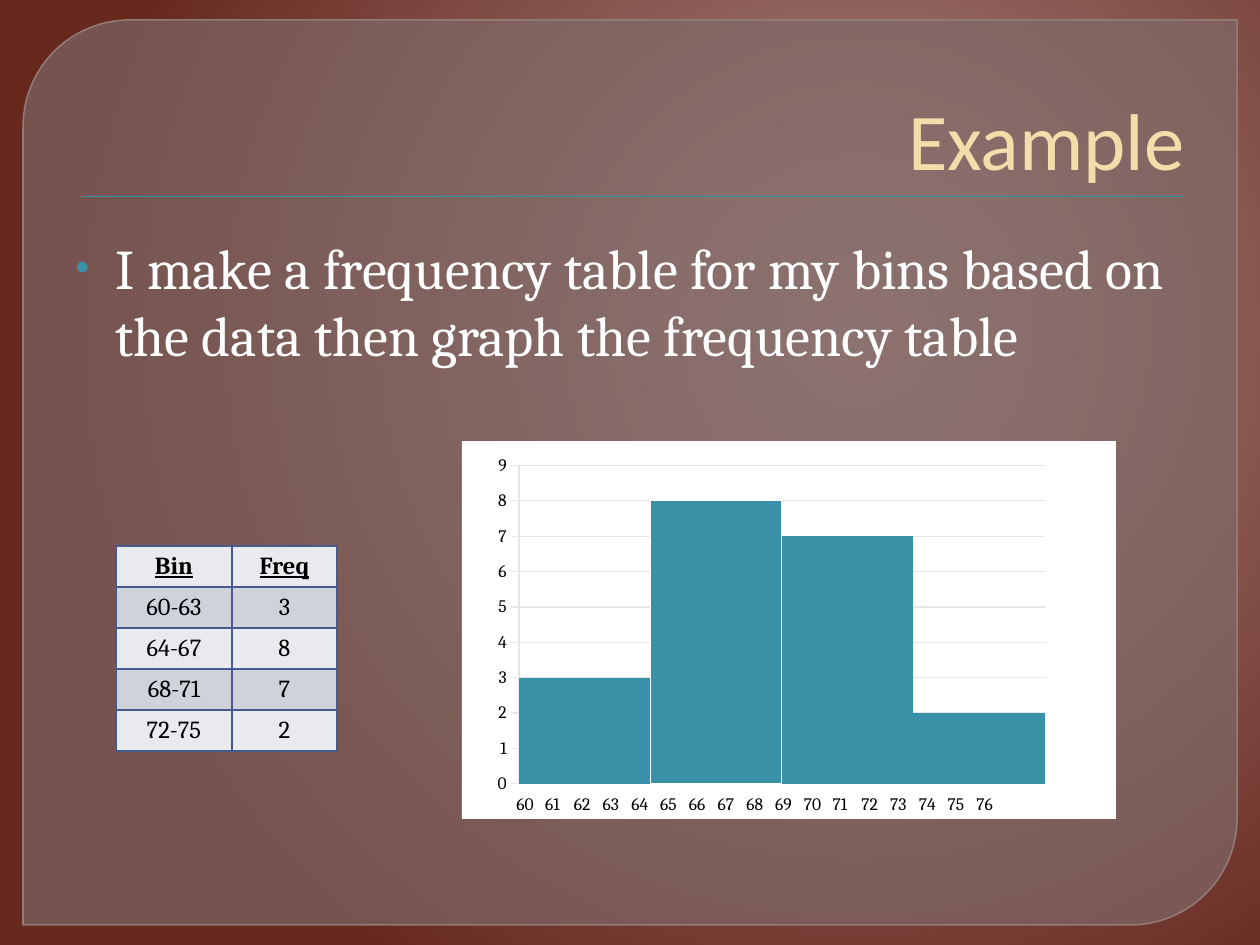
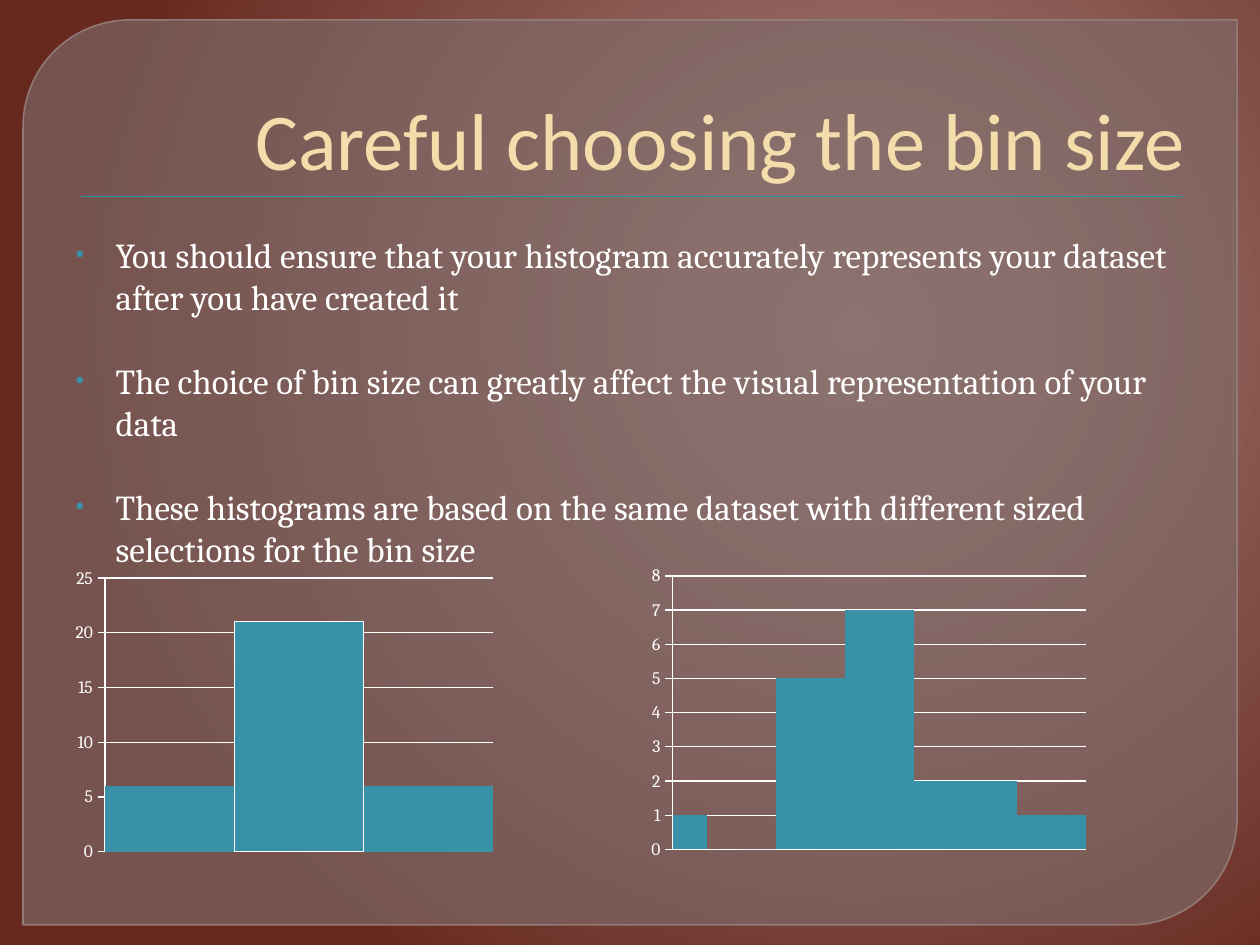
from pptx import Presentation
from pptx.chart.data import CategoryChartData
from pptx.dml.color import RGBColor
from pptx.enum.chart import XL_CHART_TYPE, XL_TICK_MARK
from pptx.enum.shapes import MSO_SHAPE
from pptx.enum.text import MSO_ANCHOR, MSO_AUTO_SIZE, PP_ALIGN
from pptx.oxml import parse_xml
from pptx.oxml.ns import nsdecls, qn
from pptx.util import Emu, Pt

EMU_PER_PX = 914400 / 126
COLORS = {
    "teal": "3891A7", "cream": "F2DDAB", "white": "FFFFFF", "black": "000000",
    "panel": "7F6B69", "panel_edge": "968381", "pale_grid": "E6E6E6",
    "row_light": "E9EAEE", "row_dark": "CFD2DB", "table_edge": "475A8D",
}
BACKDROP = {0: "A7827D", 20: "9C7570", 100: "67281E"}
HEADING_FONT = "Calibri"
TEXT_FONT = "Cambria"


def px(length):
    return Emu(round(length * EMU_PER_PX))


def rgb(name):
    return RGBColor.from_string(COLORS[name])


def apply(target, **values):
    for attribute, value in values.items():
        setattr(target, attribute, value)


def place(shape, left, top, width, height):
    apply(shape, left=px(left), top=px(top), width=px(width), height=px(height))


def style_font(font, size, color, name=TEXT_FONT, **extra):
    apply(font, size=Pt(size), name=name, **extra)
    font.color.rgb = rgb(color)


def set_alpha(fill_owner, percent):
    color = fill_owner.find(".//" + qn("a:srgbClr"))
    color.append(parse_xml(f'<a:alpha {nsdecls("a")} val="{percent * 1000}"/>'))


# Shared look
def paint_backdrop(master):
    master.background.fill.gradient()
    stops = "".join(
        f'<a:gs pos="{position * 1000}"><a:srgbClr val="{color}"/></a:gs>'
        for position, color in BACKDROP.items())
    gradient = parse_xml(
        f'<a:gradFill {nsdecls("a")} rotWithShape="1"><a:gsLst>{stops}</a:gsLst>'
        '<a:path path="circle"><a:fillToRect l="68000" t="35000" r="32000" b="65000"/>'
        '</a:path></a:gradFill>')
    background = master.element.find(".//" + qn("p:bgPr"))
    background.replace(background.find(qn("a:gradFill")), gradient)


def add_filled_shape(slide, kind, box, color):
    shape = slide.shapes.add_shape(kind, *map(px, box))
    shape.shadow.inherit = False
    shape.fill.solid()
    shape.fill.fore_color.rgb = rgb(color)
    shape.line.fill.background()
    return shape


def build_frame(slide, layout):
    """Draw the panel and title rule, then hand them to the shared layout."""
    panel = add_filled_shape(slide, MSO_SHAPE.ROUND_2_DIAG_RECTANGLE,
                             (23, 20, 1214, 905), "panel")
    panel.adjustments[0], panel.adjustments[1] = 0.118, 0
    set_alpha(panel.element.spPr.find(qn("a:solidFill")), 65)
    panel.line.color.rgb = rgb("panel_edge")
    panel.line.width = Pt(0.87)
    set_alpha(panel.element.spPr.find(qn("a:ln")), 88)
    rule = add_filled_shape(slide, MSO_SHAPE.RECTANGLE, (81, 196, 1102, 1), "teal")
    for position, part in enumerate((panel, rule), start=2):
        layout.shapes.element.insert(position, part.element)


# Text
def set_title(slide, text):
    title = slide.shapes.title
    place(title, 63, 35, 1134, 158)
    apply(title.text_frame, text=text, vertical_anchor=MSO_ANCHOR.BOTTOM,
          auto_size=MSO_AUTO_SIZE.NONE)
    paragraph = title.text_frame.paragraphs[0]
    paragraph.alignment = PP_ALIGN.RIGHT
    style_font(paragraph.font, 46, "cream", HEADING_FONT)


def add_bullet(paragraph, color):
    properties = paragraph._p.get_or_add_pPr()
    indent = px(40)
    properties.set("marL", str(indent))
    properties.set("indent", str(-indent))
    for tag in (f'buClr {{}}><a:srgbClr val="{COLORS[color]}"/></a:buClr>',
                'buSzPct {} val="70000"/>',
                'buFont {} typeface="Arial"/>',
                'buChar {} char="•"/>'):
        properties.append(parse_xml("<a:" + tag.format(nsdecls("a"))))


def set_points(slide, points, size):
    body = slide.placeholders[1]
    place(body, 63, 227, 1134, 624)
    frame = body.text_frame
    apply(frame, text="\n".join(points), auto_size=MSO_AUTO_SIZE.NONE)
    for index, paragraph in enumerate(frame.paragraphs):
        add_bullet(paragraph, "teal")
        paragraph.space_before = Pt(24 if index else 0)
        style_font(paragraph.font, size, "white")


def add_scale(slide, numbers, left, top, width, height, span):
    """One line of evenly tabbed numbers, the last starting span px in."""
    scale = slide.shapes.add_textbox(*map(px, (left, top, width, height)))
    frame = scale.text_frame
    frame.word_wrap = True
    paragraph = frame.paragraphs[0]
    paragraph.text = "\t".join(map(str, numbers))
    gaps = len(numbers) - 1
    stops = "".join(f'<a:tab pos="{px(span * gap / gaps)}" algn="l"/>'
                    for gap in range(1, gaps + 1))
    paragraph._p.get_or_add_pPr().append(
        parse_xml(f'<a:tabLst {nsdecls("a")}>{stops}</a:tabLst>'))
    style_font(paragraph.font, 10, "black")


# Frequency table
def add_borders(cell):
    properties = cell._tc.get_or_add_tcPr()
    for side in "LRTB":
        properties.append(parse_xml(
            f'<a:ln{side} {nsdecls("a")} w="12700"><a:solidFill>'
            f'<a:srgbClr val="{COLORS["table_edge"]}"/></a:solidFill></a:ln{side}>'))


def add_frequency_table(slide, rows, left, top, column_widths, row_height):
    table = slide.shapes.add_table(
        len(rows), len(column_widths), px(left), px(top),
        px(sum(column_widths)), px(row_height * len(rows))).table
    for column, width in zip(table.columns, column_widths):
        column.width = px(width)
    for row_index, row in enumerate(rows):
        table.rows[row_index].height = px(row_height)
        heading = row_index == 0
        for column_index, text in enumerate(row):
            cell = table.cell(row_index, column_index)
            apply(cell, text=text, margin_top=px(2), margin_bottom=px(2),
                  vertical_anchor=MSO_ANCHOR.MIDDLE)
            add_borders(cell)
            cell.fill.solid()
            cell.fill.fore_color.rgb = rgb("row_dark" if row_index % 2 else "row_light")
            paragraph = cell.text_frame.paragraphs[0]
            paragraph.alignment = PP_ALIGN.CENTER
            style_font(paragraph.font, 14, "black", bold=heading, underline=heading)


# Histograms
def chart_fill(color=None):
    fill = (f'<a:solidFill><a:srgbClr val="{COLORS[color]}"/></a:solidFill>'
            if color else "<a:noFill/>")
    return parse_xml(f'<c:spPr {nsdecls("c", "a")}>{fill}<a:ln><a:noFill/></a:ln></c:spPr>')


def set_plot_layout(chart, plot_box):
    plot_area = chart._chartSpace.chart.plotArea
    for layout in plot_area.findall(qn("c:layout")):
        plot_area.remove(layout)
    sizes = "".join(f'<c:{key} val="{value}"/>' for key, value in zip("xywh", plot_box))
    plot_area.insert(0, parse_xml(
        f'<c:layout {nsdecls("c")}><c:manualLayout><c:layoutTarget val="inner"/>'
        f'<c:xMode val="edge"/><c:yMode val="edge"/>{sizes}</c:manualLayout></c:layout>'))
    plot_area.append(chart_fill())


def add_histogram(slide, frequencies, box, top_value, step, plot_box=(0.087, 0.065, 0.804, 0.842),
                  label_color="white", grid_color="white", background=None):
    data = CategoryChartData()
    data.categories = [str(number + 1) for number in range(len(frequencies))]
    data.add_series("Series 1", frequencies)
    chart = slide.shapes.add_chart(
        XL_CHART_TYPE.COLUMN_CLUSTERED, *map(px, box), data).chart
    apply(chart, has_legend=False, has_title=False)
    style_font(chart.font, 10, label_color)
    chart._chartSpace.chart.addnext(chart_fill(background))
    set_plot_layout(chart, plot_box)

    chart.category_axis.visible = False
    counts = chart.value_axis
    apply(counts, minimum_scale=0, maximum_scale=top_value, major_unit=step,
          has_major_gridlines=True, major_tick_mark=XL_TICK_MARK.OUTSIDE)
    for line in (counts.format.line, counts.major_gridlines.format.line):
        line.color.rgb = rgb(grid_color)
        line.width = Pt(0.75)

    apply(chart.plots[0], gap_width=0, vary_by_categories=False)
    bars = chart.plots[0].series[0]
    bars.format.fill.solid()
    bars.format.fill.fore_color.rgb = rgb("teal")
    second_bar = bars.points[1].format
    second_bar.fill.solid()
    second_bar.fill.fore_color.rgb = rgb("teal")
    second_bar.line.color.rgb = rgb("white")
    second_bar.line.width = Pt(0.75)


def add_slide(deck, title, points, size):
    slide = deck.slides.add_slide(deck.slide_layouts[1])
    set_title(slide, title)
    set_points(slide, points, size)
    return slide


def main():
    deck = Presentation()
    apply(deck, slide_width=px(1260), slide_height=px(945))
    paint_backdrop(deck.slide_master)

    # Frequency table and its graph
    example = add_slide(deck, "Example", [
        "I make a frequency table for my bins based on the data "
        "then graph the frequency table"], 32)
    build_frame(example, deck.slide_layouts[1])
    bins = {"60-63": 3, "64-67": 8, "68-71": 7, "72-75": 2}
    rows = [("Bin", "Freq")] + [(label, str(count)) for label, count in bins.items()]
    add_frequency_table(example, rows, 116, 546, (116, 105), 41)
    add_histogram(example, list(bins.values()), (462, 441, 654, 378), 9, 1,
                  label_color="black", grid_color="pale_grid", background="white")
    add_scale(example, range(60, 77), 504, 787, 567, 34, span=460)

    # Effect of the bin size
    bin_size = add_slide(deck, "Careful choosing the bin size", [
        "You should ensure that your histogram accurately represents your dataset "
        "after you have created it",
        "The choice of bin size can greatly affect the visual representation of your data",
        "These histograms are based on the same dataset with different sized "
        "selections for the bin size"], 20)
    add_histogram(bin_size, [6, 21, 6], (63, 557, 483, 325), 25, 5)
    add_histogram(bin_size, [1, 0, 0, 5, 5, 7, 7, 2, 2, 2, 1, 1],
                  (630, 546, 514, 325), 8, 1, plot_box=(0.083, 0.092, 0.804, 0.842))

    deck.save("out.pptx")


if __name__ == "__main__":
    main()
